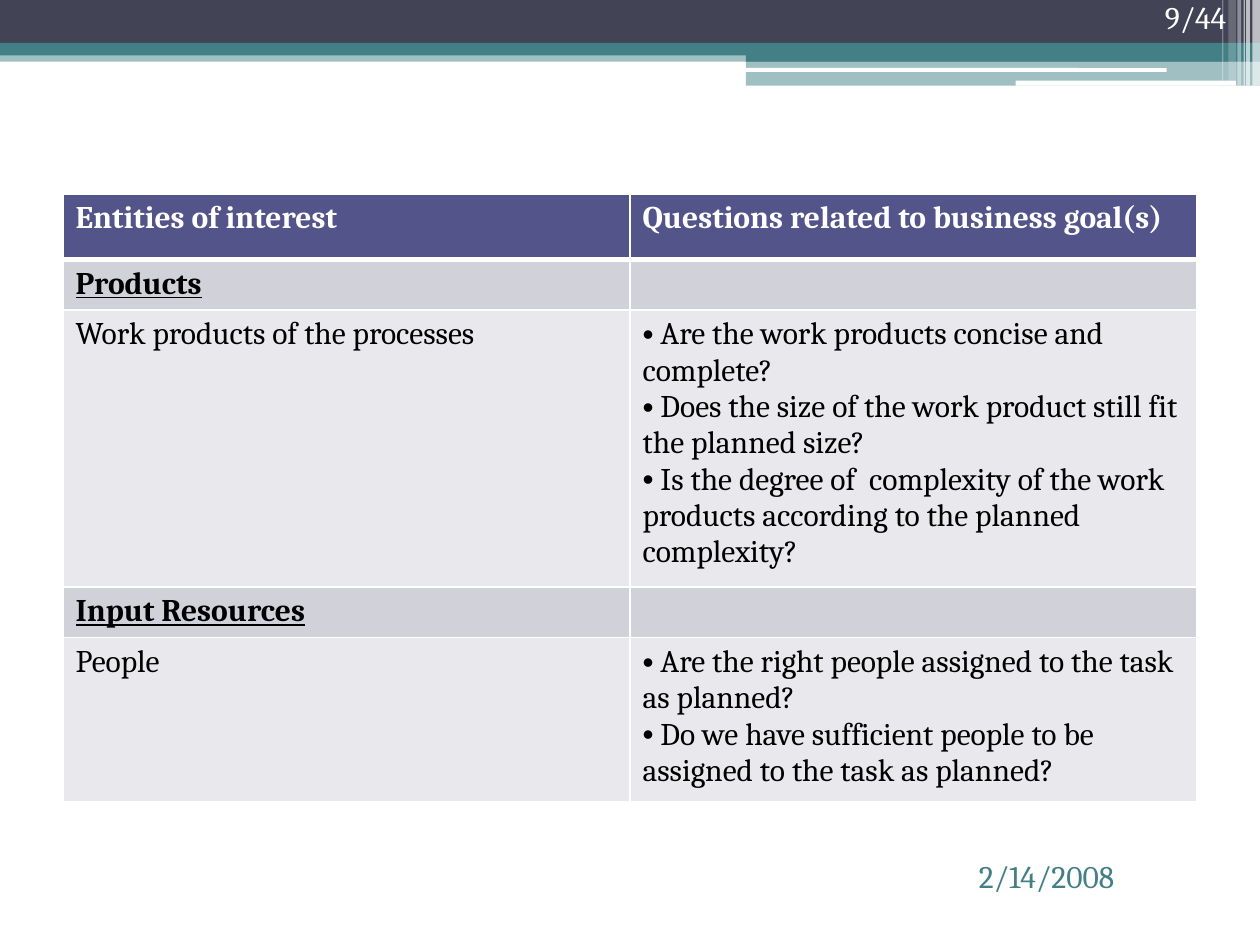
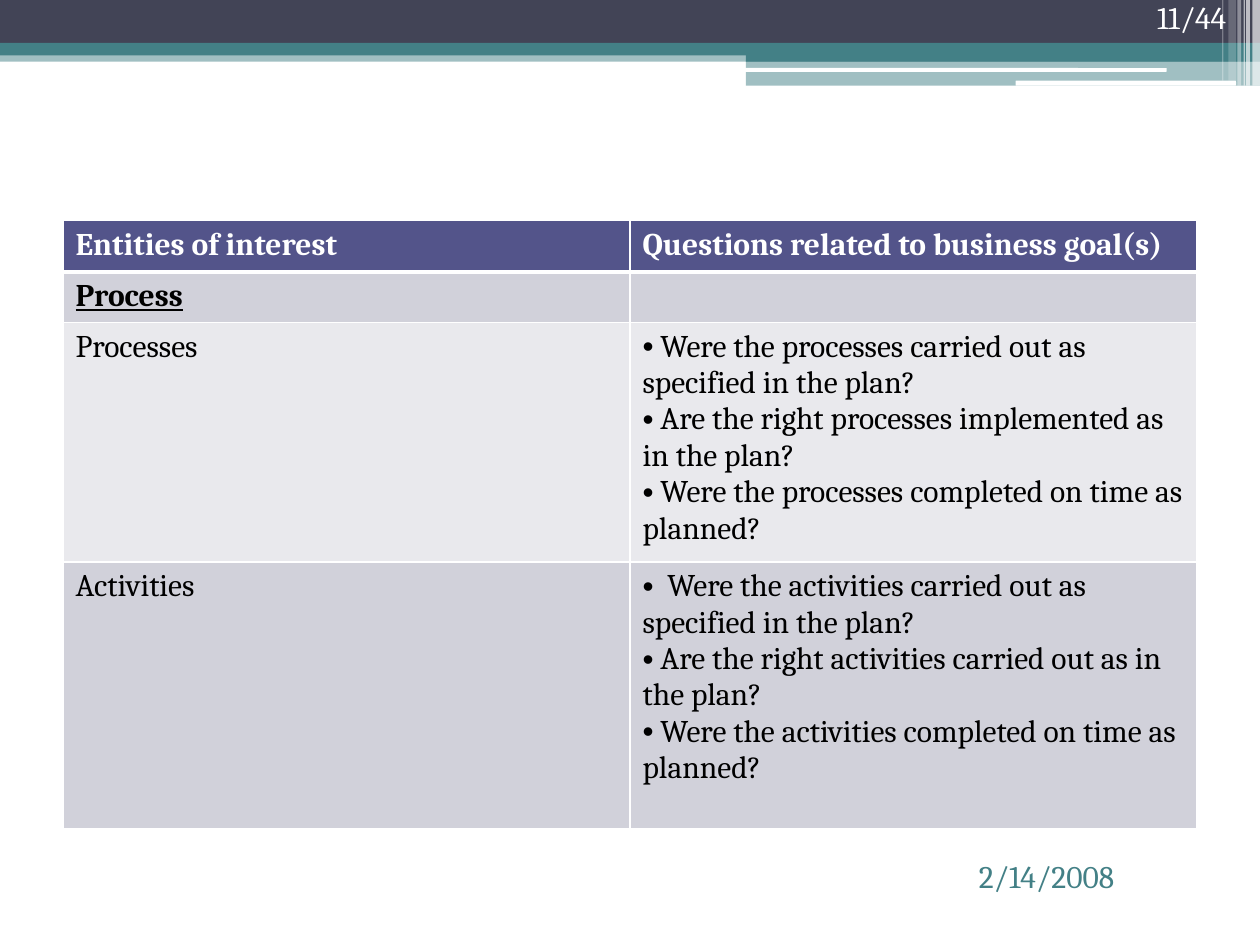
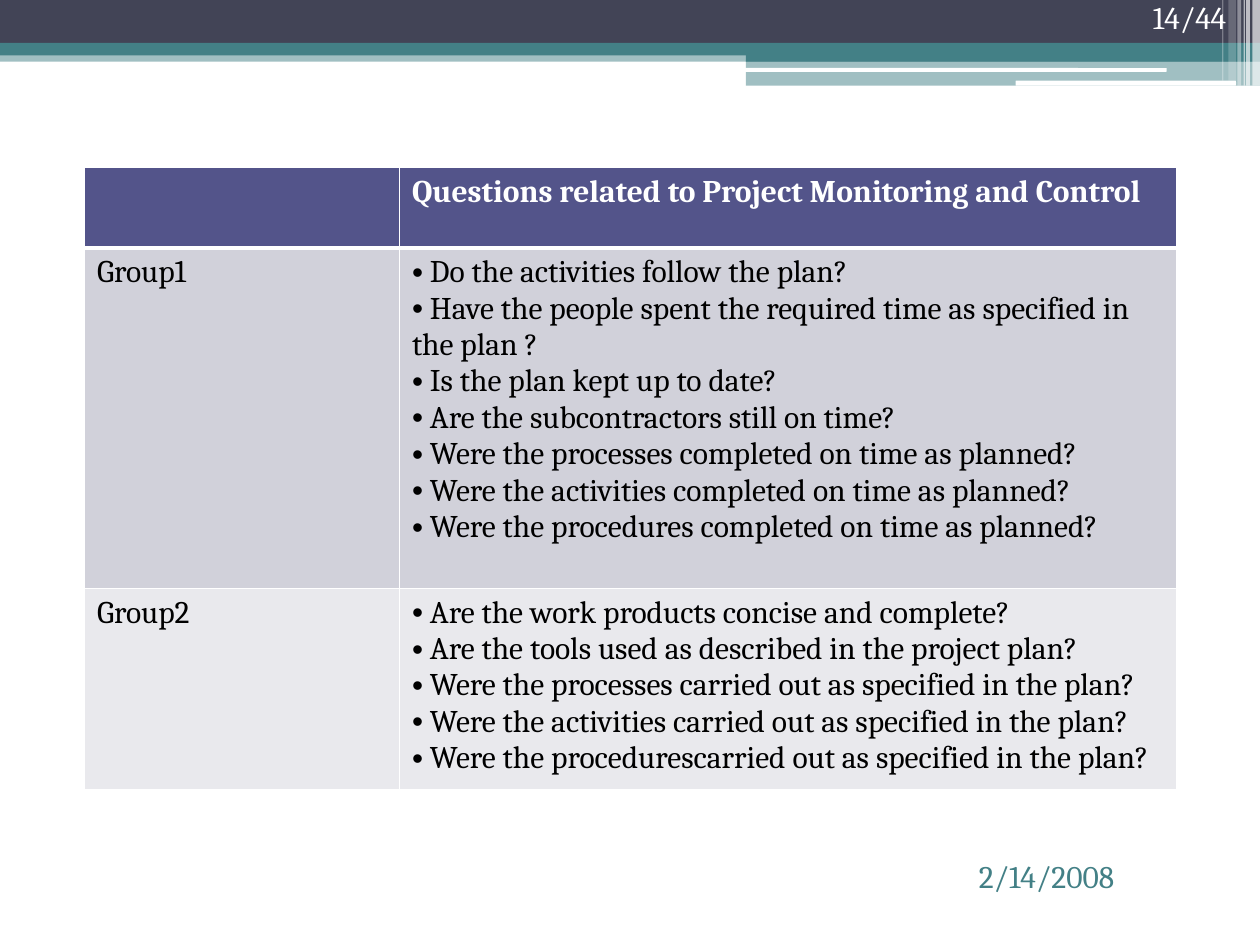
"""Build three slides of tables on measurement questions and business goals."""
from lxml.etree import SubElement
from pptx import Presentation
from pptx.dml.color import RGBColor
from pptx.enum.shapes import MSO_SHAPE as SHAPE
from pptx.enum.text import MSO_ANCHOR as ANCHOR, PP_ALIGN as ALIGN
from pptx.oxml import parse_xml
from pptx.oxml.ns import nsdecls, qn
from pptx.util import Inches, Pt

WHITE, BLACK, NAVY, TEAL = "FFFFFF", "000000", "424456", "438086"
HEADER, DARK_ROW, LIGHT_ROW = "53548A", "D1D1DA", "E9E9ED"
RECTANGLE, ROUNDED = SHAPE.RECTANGLE, SHAPE.ROUNDED_RECTANGLE

BANDS = [
    (RECTANGLE, 0, 0.4, 10, 0.09, TEAL, 50),
    (RECTANGLE, 0, 0, 10, 0.34, NAVY, 100),
    (RECTANGLE, 0, 0.34, 10, 0.1, TEAL, 100),
    (RECTANGLE, 5.92, 0.39, 4.08, 0.1, TEAL, 100),
    (RECTANGLE, 5.92, 0.48, 4.08, 0.2, TEAL, 50),
    (ROUNDED, 5.91, 0.54, 3.35, 0.03, WHITE, 100),
    (ROUNDED, 8.06, 0.64, 1.75, 0.04, WHITE, 100),
    (RECTANGLE, 9.94, 0, 0.06, 0.68, WHITE, 65),
    (RECTANGLE, 9.89, 0, 0.03, 0.68, WHITE, 65),
    (RECTANGLE, 9.87, 0, 0.01, 0.68, WHITE, 60),
    (RECTANGLE, 9.82, 0, 0.03, 0.68, WHITE, 40),
    (RECTANGLE, 9.75, 0, 0.06, 0.64, WHITE, 20),
    (RECTANGLE, 9.7, 0, 0.01, 0.64, WHITE, 30),
]

GOAL_HEADER = ("Entities of interest", ["Questions related to business goal(s)"])
SLIDES = [
    {
        "number": "9/44", "left": 0.5, "top": 1.54,
        "columns": [4.5, 4.5], "heights": [0.52, 0.39, 2.12, 0.39, 1.25],
        "rows": [
            GOAL_HEADER,
            ("Products", []),
            ("Work products of the processes", [
                " Are the work products concise and complete?",
                " Does the size of the work product still fit the planned size?",
                " Is the degree of  complexity of the work products according to the planned complexity?",
            ]),
            ("Input Resources", []),
            ("People", [
                " Are the right people assigned to the task as planned?",
                " Do we have sufficient people to be assigned to the task as planned?",
            ]),
        ],
    },
    {
        "number": "11/44", "left": 0.5, "top": 1.75,
        "columns": [4.5, 4.5], "heights": [0.41, 0.39, 1.83, 2.12],
        "rows": [
            GOAL_HEADER,
            ("Process", []),
            ("Processes", [
                " Were the processes carried out as specified in the plan?",
                " Are the right processes implemented as in the plan?",
                " Were the processes completed on time as planned?",
            ]),
            ("Activities", [
                "  Were the activities carried out as specified in the plan?",
                " Are the right activities carried out as in the plan?",
                " Were the activities completed on time as planned?",
            ]),
        ],
    },
    {
        "number": "14/44", "left": 0.67, "top": 1.33,
        "columns": [2.5, 6.17], "heights": [0.64, 2.7, 1.54],
        "rows": [
            ("", ["Questions related to Project Monitoring and Control"]),
            ("Group1", [
                " Do the activities follow the plan?",
                " Have the people spent the required time as specified in the plan ?",
                " Is the plan kept up to date?",
                " Are the subcontractors still on time?",
                " Were the processes completed on time as planned?",
                " Were the activities completed on time as planned?",
                " Were the procedures completed on time as planned?",
            ]),
            ("Group2", [
                " Are the work products concise and complete?",
                " Are the tools used as described in the project plan?",
                " Were the processes carried out as specified in the plan?",
                " Were the activities carried out as specified in the plan?",
                " Were the procedurescarried out as specified in the plan?",
            ]),
        ],
    },
]


def rgb(value):
    return RGBColor.from_string(value)


def write(frame, lines, color, bullets=False, align=ALIGN.LEFT, **font_values):
    frame.word_wrap = True
    for index, line in enumerate(lines):
        paragraph = frame.add_paragraph() if index else frame.paragraphs[0]
        paragraph.alignment = align
        if bullets:
            properties = paragraph._p.get_or_add_pPr()
            SubElement(properties, qn("a:buFont"), typeface="Arial")
            SubElement(properties, qn("a:buChar"), char="•")
        run = paragraph.add_run()
        run.text = line
        run.font.color.rgb = rgb(color)
        values = {"name": "Cambria", "size": Pt(18), **font_values}
        for name, value in values.items():
            setattr(run.font, name, value)


presentation = Presentation()
presentation.slide_width = Inches(10)
presentation.slide_height = Inches(7.5)

for content in SLIDES:
    slide = presentation.slides.add_slide(presentation.slide_layouts[6])

    for kind, left, top, width, height, color, opacity in BANDS:
        band = slide.shapes.add_shape(kind, Inches(left), Inches(top), Inches(width), Inches(height))
        band.shadow.inherit = False
        band.line.fill.background()
        band.fill.solid()
        band.fill.fore_color.rgb = rgb(color)
        if opacity < 100:
            fill_color = band._element.spPr.find(qn("a:solidFill"))[0]
            SubElement(fill_color, qn("a:alpha"), val=str(opacity * 1000))

    page_number = slide.shapes.add_textbox(Inches(8.64), Inches(-0.07), Inches(1.19), Inches(0.4))
    page_number.text_frame.vertical_anchor = ANCHOR.BOTTOM
    write(page_number.text_frame, [content["number"]], WHITE, align=ALIGN.RIGHT)
    date = slide.shapes.add_textbox(Inches(7.67), Inches(6.75), Inches(1.5), Inches(0.5))
    write(date.text_frame, ["2/14/2008"], TEAL)

    rows, columns, heights = content["rows"], content["columns"], content["heights"]
    table = slide.shapes.add_table(
        len(rows), len(columns), Inches(content["left"]), Inches(content["top"]),
        Inches(sum(columns)), Inches(sum(heights))).table
    for column, width in zip(table.columns, columns):
        column.width = Inches(width)
    for row, height in zip(table.rows, heights):
        row.height = Inches(height)

    for row_index, (entity, questions) in enumerate(rows):
        is_header = row_index == 0
        is_section = not questions
        row_fill = HEADER if is_header else DARK_ROW if row_index % 2 else LIGHT_ROW
        for column_index, lines in enumerate(([entity] if entity else [], questions)):
            cell = table.cell(row_index, column_index)
            cell.fill.solid()
            cell.fill.fore_color.rgb = rgb(row_fill)
            for position, side in enumerate(("lnL", "lnR", "lnT", "lnB")):
                is_heavy = (is_header and side == "lnB") or (row_index == 1 and side == "lnT")
                cell._tc.get_or_add_tcPr().insert(position, parse_xml(
                    f'<a:{side} {nsdecls("a")} w="{Pt(3 if is_heavy else 1)}"><a:solidFill>'
                    f'<a:srgbClr val="{WHITE}"/></a:solidFill></a:{side}>'))
            if lines:
                write(cell.text_frame, lines, WHITE if is_header else BLACK,
                      bullets=column_index == 1 and not is_header,
                      bold=is_header or is_section, underline=is_section)
            else:
                SubElement(cell.text_frame.paragraphs[0]._p, qn("a:endParaRPr"), sz="1400")

presentation.save("out.pptx")
